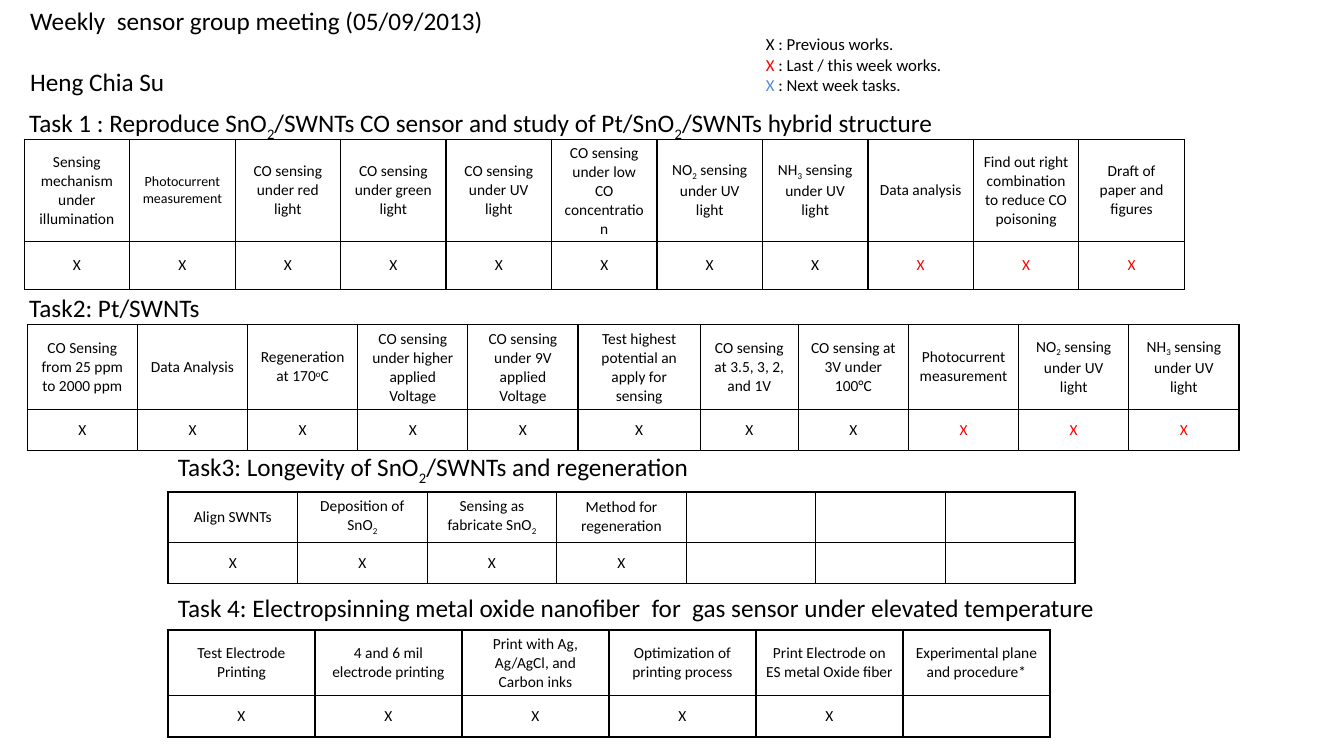
import pptx
import pptx.util
import pptx.dml.color
import pptx.enum.text
import pptx.oxml
import pptx.oxml.ns

BLACK = pptx.dml.color.RGBColor(0x00, 0x00, 0x00)
RED = pptx.dml.color.RGBColor(0xFF, 0x00, 0x00)
BLUE = pptx.dml.color.RGBColor(0x55, 0x8E, 0xD5)
FONT = "Calibri"
SLIDE_W = pptx.util.Inches(13.33)
SLIDE_H = pptx.util.Inches(7.5)
HEADING_H = 5.39
MARK_H = 5.47

# Text between bars is raised, or lowered if it is a digit.
# Places and lengths are percentages of the slide's width and height.
TASKS = [
    dict(heading="Task 1 : Reproduce SnO|2|/SWNTs CO sensor and study of "
                 "Pt/SnO|2|/SWNTs hybrid structure",
         heading_at=(1.43, 13.6, 71.33), table_at=(1.8, 18.4, 86.33),
         rows=(13.6, 6.27), done=8, current=3, small=(1,),
         steps=["Sensing mechanism under illumination",
                "Photocurrent measurement",
                "CO sensing under red light",
                "CO sensing under green light",
                "CO sensing under UV light",
                "CO sensing under low CO concentration",
                "NO|2| sensing under UV light",
                "NH|3| sensing under UV light",
                "Data analysis",
                "Find out right combination to reduce CO poisoning",
                "Draft of paper and figures"]),
    dict(heading="Task2: Pt/SWNTs",
         heading_at=(1.43, 38, 14.33), table_at=(2.03, 42.93, 90.17),
         rows=(11.2, MARK_H), done=8, current=3,
         weights=[1] * 5 + [1.11, 0.89] + [1] * 4,
         steps=["CO Sensing from 25 ppm to 2000 ppm",
                "Data Analysis",
                "Regeneration at 170|o|C",
                "CO sensing under higher applied Voltage",
                "CO sensing under 9V applied Voltage",
                "Test highest potential an apply for sensing",
                "CO sensing at 3.5, 3, 2, and 1V",
                "CO sensing at 3V under 100°C",
                "Photocurrent measurement",
                "NO|2| sensing under UV light",
                "NH|3| sensing under UV light"]),
    dict(heading="Task3: Longevity of SnO|2|/SWNTs and regeneration",
         heading_at=(12.5, 59.07, 40), table_at=(12.5, 65.07, 67.5),
         rows=(6.67, MARK_H), done=4,
         steps=["Align SWNTs", "Deposition of SnO|2|",
                "Sensing as fabricate SnO|2|", "Method for regeneration",
                "", "", ""]),
    dict(heading="Task 4: Electropsinning metal oxide nanofiber  for  gas "
                 "sensor under elevated temperature",
         heading_at=(12.5, 77.73, 72.45), table_at=(12.5, 83.33, 65.63),
         rows=(8.67, MARK_H), done=5,
         steps=["Test Electrode Printing", "4 and 6 mil electrode printing",
                "Print with Ag, Ag/AgCl, and Carbon inks",
                "Optimization of printing process",
                "Print Electrode on ES metal Oxide fiber",
                "Experimental plane and procedure*"]),
]


def across(share):
    return round(SLIDE_W * share / 100)


def down(share):
    return round(SLIDE_H * share / 100)


def place(left, top, width, height):
    return across(left), down(top), across(width), down(height)


def add_text(p, text, size, color=BLACK):
    for i, part in enumerate(text.split("|")):
        if not part:
            continue
        r = p.add_run()
        r.text = part
        r.font.name = FONT
        r.font.size = pptx.util.Pt(size)
        r.font.color.rgb = color
        if i % 2:
            shift = "-25000" if part.isdigit() else "30000"
            r.font._element.set("baseline", shift)


def add_box(s, box, wrap):
    tf = s.shapes.add_textbox(*place(*box)).text_frame
    tf.word_wrap = wrap
    tf.auto_size = pptx.enum.text.MSO_AUTO_SIZE.SHAPE_TO_FIT_TEXT
    return tf


def add_title(s):
    sp = s.shapes.title
    sp.left, sp.top, sp.width, sp.height = place(1.5, 0, 35.63, 17.47)
    tf = sp.text_frame
    tf.word_wrap = False
    tf.auto_size = pptx.enum.text.MSO_AUTO_SIZE.NONE
    tf.vertical_anchor = pptx.enum.text.MSO_ANCHOR.TOP
    name = tf.add_paragraph()
    name.space_before = pptx.util.Pt(22)
    add_text(tf.paragraphs[0], "Weekly  sensor group meeting (05/09/2013)", 18)
    add_text(name, "Heng Chia Su", 18)
    for p in tf.paragraphs:
        p.alignment = pptx.enum.text.PP_ALIGN.LEFT


def add_legend(s):
    tf = add_box(s, (56.25, 3.87, 28.75, 14.8), True)
    entries = [(BLACK, "Previous works."), (RED, "Last / this week works."),
               (BLUE, "Next week tasks.")]
    for i, (color, meaning) in enumerate(entries):
        p = tf.add_paragraph() if i else tf.paragraphs[0]
        add_text(p, "X", 12, color)
        add_text(p, " : " + meaning, 12)


def add_borders(cell):
    tcPr = cell._tc.get_or_add_tcPr()
    for i, side in enumerate(("lnL", "lnR", "lnT", "lnB")):
        tcPr.insert(i, pptx.oxml.parse_xml(
            f'<a:{side} {pptx.oxml.ns.nsdecls("a")} w="12700"><a:solidFill>'
            f'<a:srgbClr val="{BLACK}"/></a:solidFill></a:{side}>'))


def fill_cell(cell, text, size=11, color=BLACK):
    cell.fill.background()
    add_borders(cell)
    cell.vertical_anchor = pptx.enum.text.MSO_ANCHOR.MIDDLE
    p = cell.text_frame.paragraphs[0]
    p.alignment = pptx.enum.text.PP_ALIGN.CENTER
    p.font.size = pptx.util.Pt(size)
    add_text(p, text, size, color)


def add_task(s, heading, heading_at, table_at, rows, steps, done,
             current=0, small=(), weights=None):
    tf = add_box(s, (*heading_at, HEADING_H), False)
    add_text(tf.paragraphs[0], heading, 18)

    weights = weights or [1] * len(steps)
    table = s.shapes.add_table(2, len(steps),
                               *place(*table_at, sum(rows))).table
    table.first_row = table.horz_banding = False
    for row, height in zip(table.rows, rows):
        row.height = down(height)
    for i, step in enumerate(steps):
        table.columns[i].width = across(table_at[2] * weights[i] / sum(weights))
        fill_cell(table.cell(0, i), step, 10 if i in small else 11)
        fill_cell(table.cell(1, i), "X" if i < done + current else "",
                  color=BLACK if i < done else RED)


def main():
    prs = pptx.Presentation()
    prs.slide_width, prs.slide_height = SLIDE_W, SLIDE_H
    s = prs.slides.add_slide(prs.slide_layouts[5])
    add_title(s)
    add_legend(s)
    for task in TASKS:
        add_task(s, **task)
    prs.save("out.pptx")


if __name__ == "__main__":
    main()
